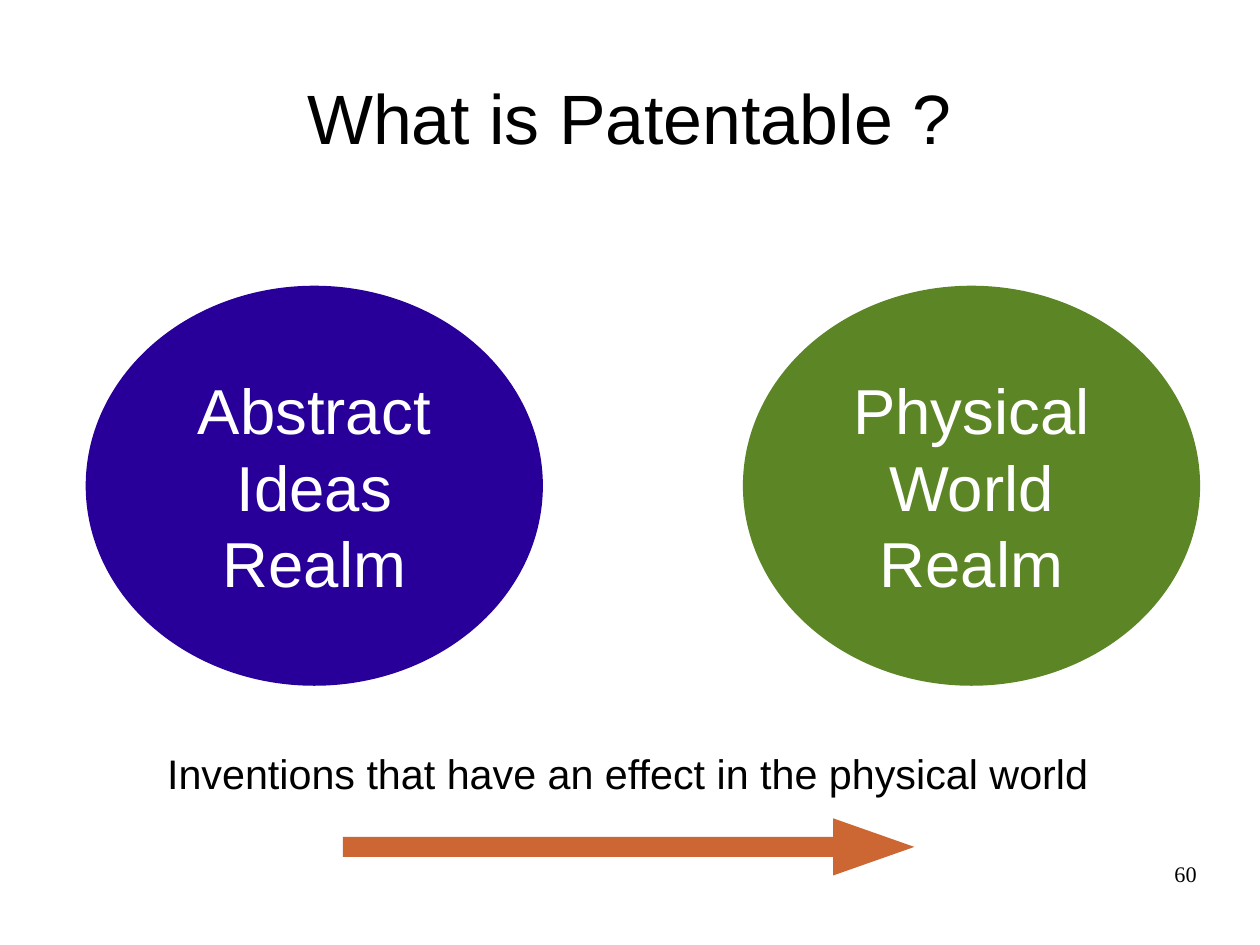
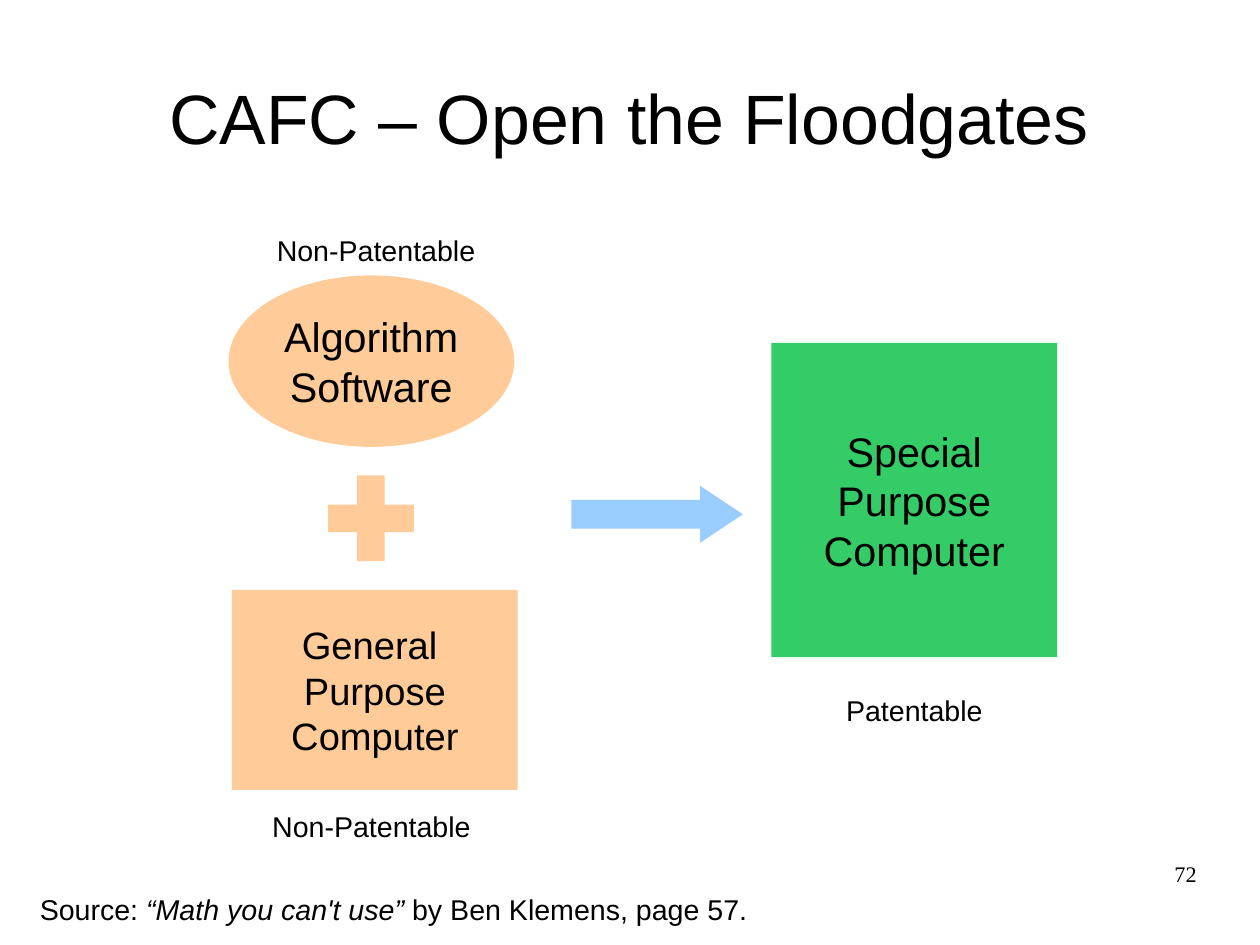
from pptx import Presentation
from pptx.dml.color import RGBColor
from pptx.enum import shapes, text
from pptx.util import Inches, Pt

BLACK, WHITE = "000000", "FFFFFF"
VIOLET, OLIVE, RUST = "280099", "5C8526", "CC6633"
PEACH, GREEN, SKY = "FFCC99", "33CC66", "99CCFF"
SHAPE = shapes.MSO_SHAPE
ALIGN = text.PP_ALIGN
ANCHOR = text.MSO_ANCHOR
CM_PER_INCH = 2.54


def rgb(color):
    return RGBColor.from_string(color)


def write(tf, lines, size=18, font="Arial", color=BLACK, align=ALIGN.CENTER,
          anchor=ANCHOR.TOP, margins=(0.1, 0.05)):
    """Fill a frame; each line is a string or a list of (text, italic) runs.

    A newline inside a run becomes a line break.
    """
    tf.word_wrap = True
    tf.vertical_anchor = anchor
    tf.margin_left = tf.margin_right = Inches(margins[0])
    tf.margin_top = tf.margin_bottom = Inches(margins[1])
    for i, line in enumerate(lines):
        p = tf.add_paragraph() if i else tf.paragraphs[0]
        p.alignment = align
        for content, italic in [(line, False)] if isinstance(line, str) else line:
            for j, part in enumerate(content.split("\n")):
                if j:
                    p.add_line_break()
                r = p.add_run()
                r.text = part
                r.font.name, r.font.size = font, Pt(size)
                r.font.italic = italic
                r.font.color.rgb = rgb(color)


class Deck:
    def __init__(self, width, height):
        self.prs = Presentation()
        self.prs.slide_width, self.prs.slide_height = Inches(width), Inches(height)
        self.s = None

    def slide(self, title):
        self.s = self.prs.slides.add_slide(self.prs.slide_layouts[6])
        self.s.background.fill.solid()
        self.s.background.fill.fore_color.rgb = rgb(WHITE)
        self.label([title], 0.55, 0.33, 9.92, 1.38, size=44,
                   anchor=ANCHOR.MIDDLE, margins=(0, 0))

    def page_number(self, number):
        self.label([number], 7.9, 7.53, 2.57, 0.57, size=14,
                   font="Times New Roman", align=ALIGN.RIGHT, margins=(0, 0))

    def label(self, lines, x, y, w, h=0.38, **style):
        sp = self.s.shapes.add_textbox(*map(Inches, (x, y, w, h)))
        write(sp.text_frame, lines, **style)

    def shape(self, kind, fill, x, y, w, h, lines=(), adjust=(), **style):
        sp = self.s.shapes.add_shape(kind, *map(Inches, (x, y, w, h)))
        sp.shadow.inherit = False
        sp.fill.solid()
        sp.fill.fore_color.rgb = rgb(fill)
        sp.line.fill.background()
        for i, value in enumerate(adjust):
            sp.adjustments[i] = value
        if lines:
            write(sp.text_frame, lines, anchor=ANCHOR.MIDDLE, **style)


def patentable_slide(deck):
    deck.slide("What is Patentable ?")
    realms = [(0.75, VIOLET, ["Abstract", "Ideas", "Realm"]),
              (6.5, OLIVE, ["Physical\nWorld", "Realm"])]
    for x, fill, lines in realms:
        deck.shape(SHAPE.OVAL, fill, x, 2.5, 4, 3.5, lines, size=40, color=WHITE)
    deck.label(["Inventions that have an effect in the physical world"],
               0.75, 6.5, 9.5, 0.5, size=26)
    deck.shape(SHAPE.RIGHT_ARROW, RUST, 3, 7.16, 5, 0.5, adjust=(0.35, 1.42))
    deck.page_number("60")


def floodgates_slide(deck):
    deck.slide("CAFC – Open the Floodgates")
    deck.shape(SHAPE.OVAL, PEACH, 2, 2.41, 2.5, 1.5,
               ["Algorithm", "Software"], size=26)
    deck.shape(SHAPE.RECTANGLE, PEACH, 2.03, 5.16, 2.5, 1.75,
               ["General ", "Purpose", "Computer"], size=24)
    deck.shape(SHAPE.CROSS, PEACH, 2.87, 4.16, 0.75, 0.75, adjust=(0.34,))
    deck.shape(SHAPE.RECTANGLE, GREEN, 6.75, 3, 2.5, 2.75,
               ["Special", "Purpose", "Computer"], size=26)
    for caption, x, y in [("Patentable", 7, 6.01),
                          ("Non-Patentable", 2.25, 7.03),
                          ("Non-Patentable", 2.29, 1.99)]:
        deck.label([caption], x, y, 2)
    deck.shape(SHAPE.RIGHT_ARROW, SKY, 5, 4.25, 1.5, 0.5, adjust=(0.5, 0.75))
    source = [("Source: ", False), ("“Math you can't use”", True),
              (" by Ben Klemens, page 57.", False)]
    deck.label([source], 0.25, 7.75, 10.5, align=ALIGN.LEFT)
    deck.page_number("72")


def main():
    deck = Deck(28 / CM_PER_INCH, 21 / CM_PER_INCH)
    patentable_slide(deck)
    floodgates_slide(deck)
    deck.prs.save("out.pptx")


if __name__ == "__main__":
    main()
